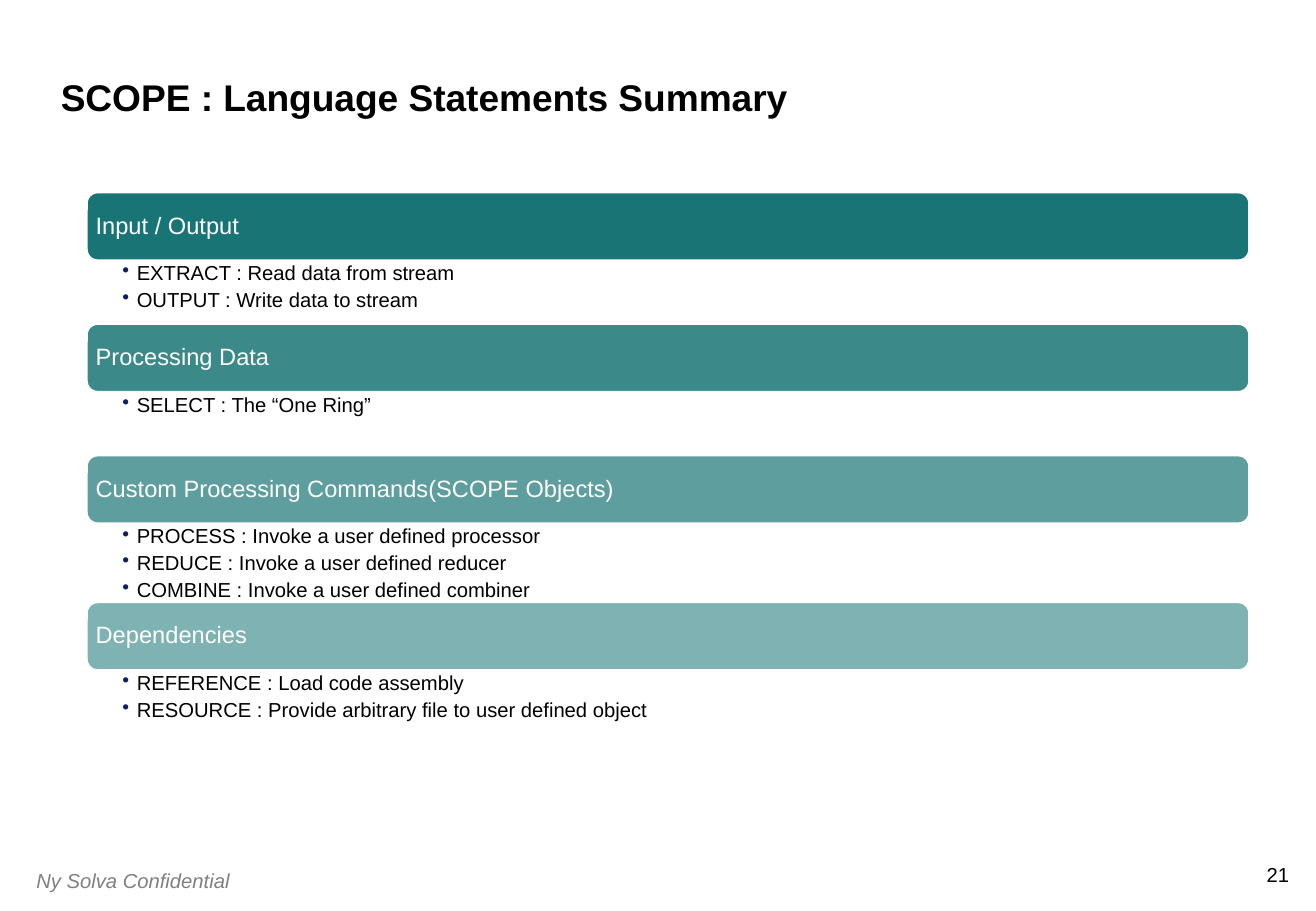
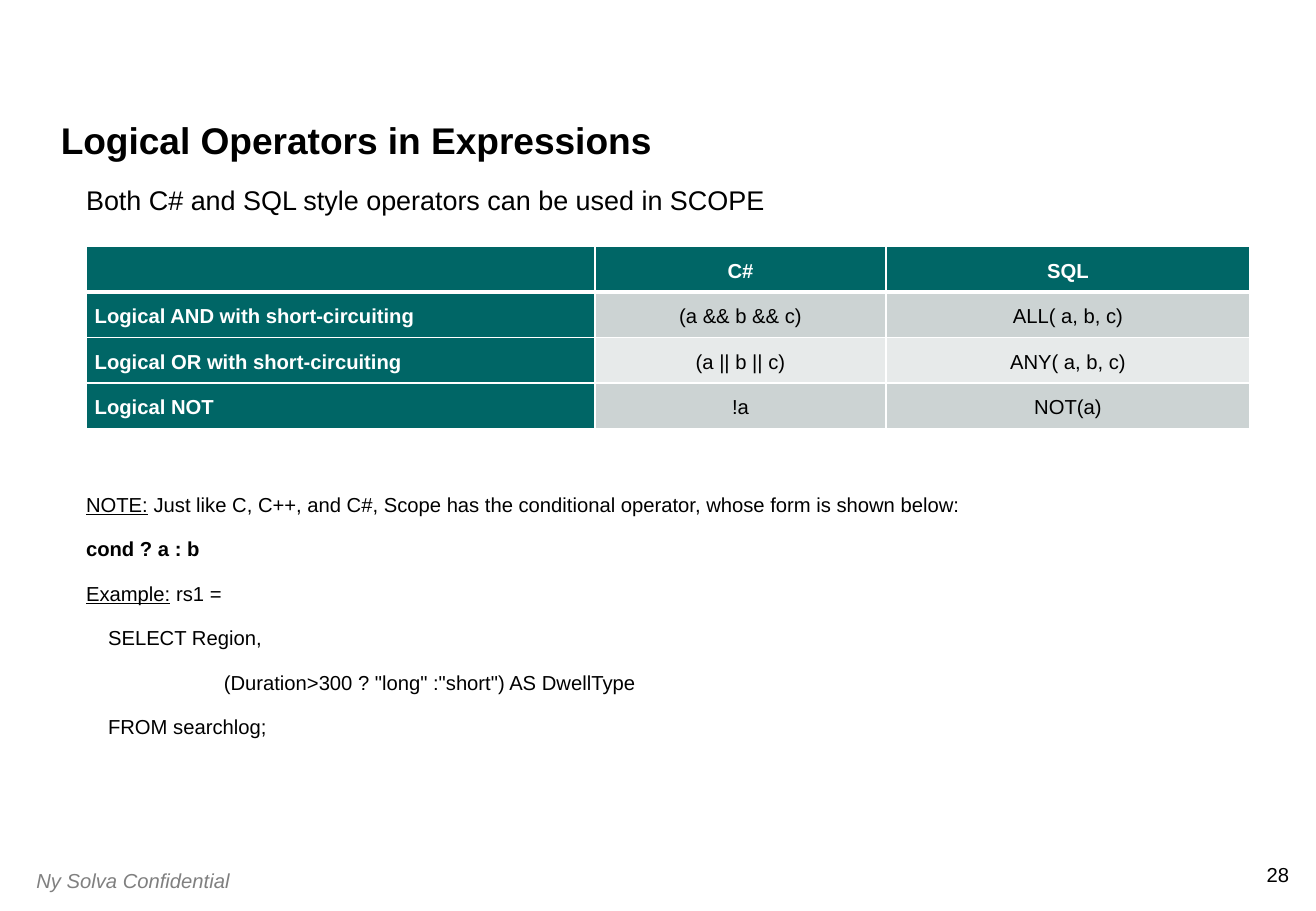
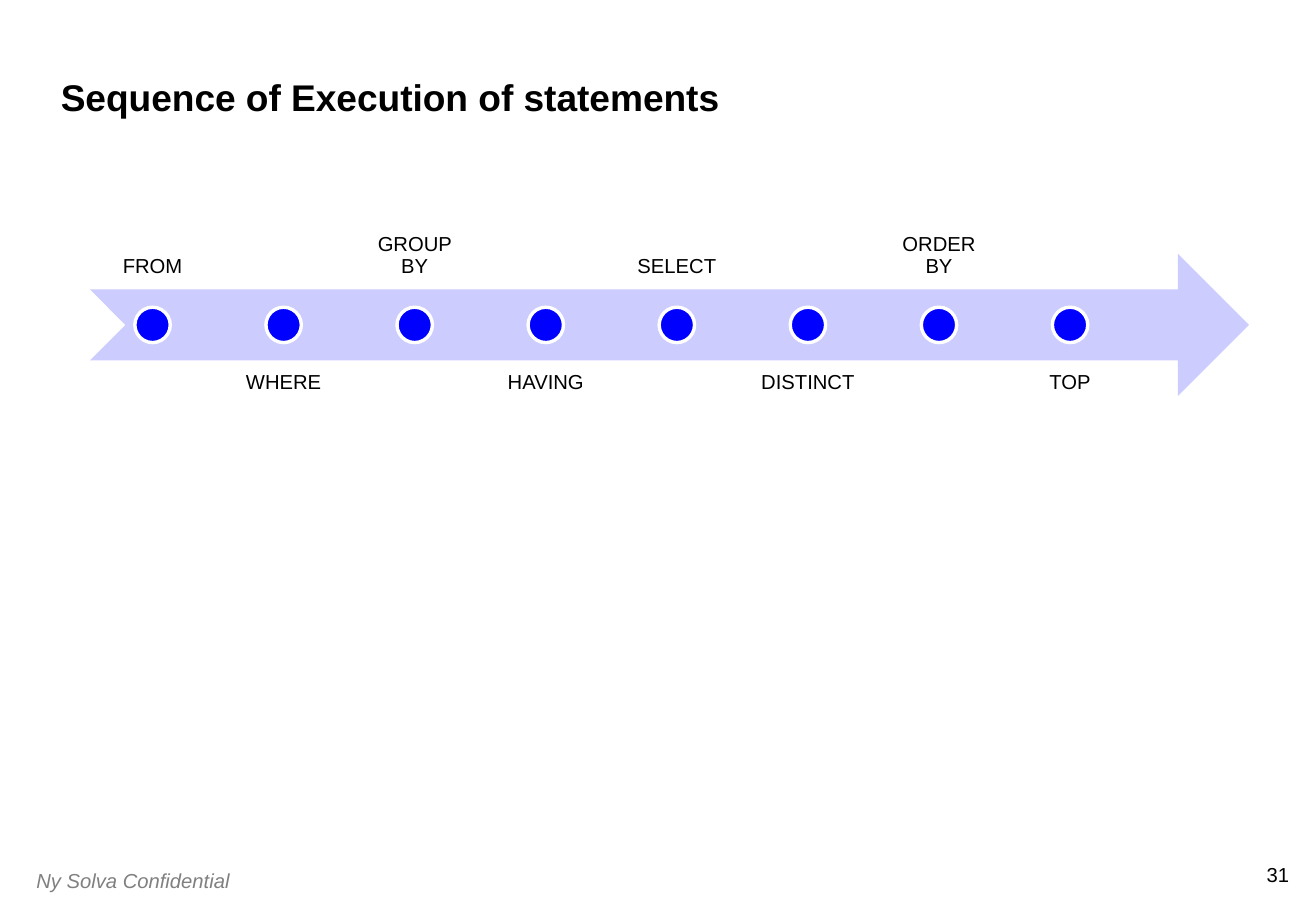
from pptx import Presentation
from pptx.dml.color import RGBColor
from pptx.enum import shapes, text
from pptx.oxml import ns, xmlchemy
from pptx.util import Cm, Pt

# Content
FOOTER = "Ny Solva Confidential"

STATEMENTS = [
    ("Input / Output", 90,
     ["EXTRACT : Read data from stream", "OUTPUT : Write data to stream"]),
    ("Processing Data", 77, ["SELECT : The “One Ring”"]),
    ("Custom Processing Commands(SCOPE Objects)", 63,
     ["PROCESS : Invoke a user defined processor",
      "REDUCE : Invoke a user defined reducer",
      "COMBINE : Invoke a user defined combiner"]),
    ("Dependencies", 50,
     ["REFERENCE : Load code assembly",
      "RESOURCE : Provide arbitrary file to user defined object"]),
]

OPERATORS_INTRO = "Both C# and SQL style operators can be used in SCOPE"
OPERATORS = [
    ("", "C#", "SQL"),
    ("Logical AND with short-circuiting", "(a && b && c)", "ALL( a, b, c)"),
    ("Logical OR with short-circuiting", "(a || b || c)", "ANY( a, b, c)"),
    ("Logical NOT", "!a", "NOT(a)"),
]
# Underlined label, text, left indent in cm, bold
CONDITIONAL = [
    ("NOTE:", " Just like C, C++, and C#, Scope has the conditional operator, "
              "whose form is shown below:", 0, False),
    ("", "cond ? a : b", 0, True),
    ("Example:", " rs1 =", 0, False),
    ("", "SELECT Region,", 0.46, False),
    ("", '(Duration>300 ? "long" :"short") AS DwellType', 2.88, False),
    ("", "FROM searchlog;", 0.46, False),
]

SEQUENCE = ["FROM", "WHERE", "GROUP BY", "HAVING",
            "SELECT", "DISTINCT", "ORDER BY", "TOP"]

# Shared style
FONT = "Arial"
BLACK, WHITE, GREY = "000000", "FFFFFF", "808080"
TEAL, BULLET = "006666", "0B1F65"
ROW_FILLS = ["E7EAEA", "CCD3D3"]
ARROW, DOT = "CCCCFF", "0000FF"
LEFT, WIDTH = 1.8, 24.33
ALIGN, ANCHOR = text.PP_ALIGN, text.MSO_ANCHOR
SHAPE = shapes.MSO_SHAPE


def rgb(value):
    return RGBColor.from_string(value)


def sub(parent, tag, **attrs):
    child = xmlchemy.OxmlElement(tag)
    for name, value in attrs.items():
        child.set(name, str(value))
    parent.append(child)
    return child


def place(sp, x, y, w, h):
    sp.left, sp.top, sp.width, sp.height = Cm(x), Cm(y), Cm(w), Cm(h)


def frame(tf, insets=(0, 0, 0, 0), anchor=ANCHOR.TOP, wrap=True):
    tf.auto_size = text.MSO_AUTO_SIZE.NONE
    tf.word_wrap = wrap
    tf.vertical_anchor = anchor
    (tf.margin_left, tf.margin_top,
     tf.margin_right, tf.margin_bottom) = map(Cm, insets)


def style(p, size=12, color=BLACK, bold=False, italic=False,
          align=ALIGN.LEFT, spacing=None):
    f = p.font
    f.name, f.size, f.bold, f.italic = FONT, Pt(size), bold, italic
    f.color.rgb = rgb(color)
    p.alignment = align
    if spacing:
        p.line_spacing = spacing


def indent(p, left, first=0):
    pPr = p._p.get_or_add_pPr()
    pPr.set("marL", str(Cm(left)))
    pPr.set("indent", str(Cm(first)))
    return pPr


def bullet(p):
    pPr = indent(p, 0.3, -0.3)
    color = xmlchemy.OxmlElement("a:buClr")
    sub(color, "a:srgbClr", val=BULLET)
    char = xmlchemy.OxmlElement("a:buChar")
    char.set("char", "•")
    defaults = pPr.find(ns.qn("a:defRPr"))
    defaults.addprevious(color)
    defaults.addprevious(char)


def paragraphs(tf, count):
    return [tf.paragraphs[0]] + [tf.add_paragraph() for _ in range(count - 1)]


def add_text(slide, box, words, insets=(0, 0, 0, 0), anchor=ANCHOR.TOP, **look):
    tf = slide.shapes.add_textbox(*map(Cm, box)).text_frame
    frame(tf, insets, anchor)
    tf.text = words
    style(tf.paragraphs[0], **look)


def add_shape(slide, kind, box, fill, line=None):
    sp = slide.shapes.add_shape(kind, *map(Cm, box))
    sp.shadow.inherit = False
    sp.fill.solid()
    sp.fill.fore_color.rgb = rgb(fill)
    if line:
        sp.line.color.rgb = rgb(line)
        sp.line.width = Pt(2)
    else:
        sp.line.fill.background()
    return sp


def new_slide(prs, layout, title, number, title_height):
    slide = prs.slides.add_slide(prs.slide_layouts[layout])
    sp = slide.shapes.title
    place(sp, 1.27, 1.07, 24.97, title_height)
    frame(sp.text_frame, anchor=ANCHOR.BOTTOM)
    sp.text_frame.text = title
    style(sp.text_frame.paragraphs[0], size=22, bold=True, spacing=0.9)
    add_text(slide, (0.51, 18.03, 6, 0.76), FOOTER, (0.25, 0.13, 0.25, 0.13),
             color=GREY, italic=True)
    add_text(slide, (25.42, 18.03, 1.53, 0.51), str(number), align=ALIGN.RIGHT)
    return slide


def statements_slide(prs):
    slide = new_slide(prs, 5, "SCOPE : Language Statements Summary", 21, 1.43)
    y, band_height = 4.01, 1.45
    for heading, opacity, items in STATEMENTS:
        # Heading band
        band = add_shape(slide, SHAPE.ROUNDED_RECTANGLE,
                         (LEFT, y, WIDTH, band_height), TEAL, WHITE)
        fill = band._element.spPr.find(
            ns.qn("a:solidFill") + "/" + ns.qn("a:srgbClr"))
        sub(fill, "a:alpha", val=opacity * 1000)
        frame(band.text_frame, (0.13, 0.15, 0.15, 0.15), ANCHOR.MIDDLE)
        band.text_frame.text = heading
        style(band.text_frame.paragraphs[0], size=14, color=WHITE, spacing=0.9)
        y += band_height
        # Bullets under the band
        list_height = max(1.3, 0.54 * len(items))
        box = slide.shapes.add_textbox(
            Cm(LEFT), Cm(y), Cm(WIDTH), Cm(list_height))
        frame(box.text_frame, (0.76, 0.05, 0.23, 0.05))
        for p, item in zip(paragraphs(box.text_frame, len(items)), items):
            p.text = item
            style(p, spacing=0.9)
            p.space_after = Pt(3)
            bullet(p)
        y += list_height


def cell_borders(cell, bottom):
    tcPr = cell._tc.get_or_add_tcPr()
    fill = tcPr.find(ns.qn("a:solidFill"))
    for side, width in (("L", 1), ("R", 1), ("T", 1), ("B", bottom)):
        ln = xmlchemy.OxmlElement("a:ln" + side)
        ln.set("w", str(Pt(width)))
        sub(sub(ln, "a:solidFill"), "a:srgbClr", val=WHITE)
        fill.addprevious(ln)


def operators_slide(prs):
    slide = new_slide(prs, 1, "Logical Operators in Expressions", 28, 2.34)
    # Introduction
    body = slide.placeholders[1]
    place(body, LEFT, 3.84, WIDTH, 1.32)
    frame(body.text_frame)
    p = body.text_frame.paragraphs[0]
    p.text = OPERATORS_INTRO
    style(p, size=16)
    pPr = indent(p, 0)
    pPr.find(ns.qn("a:defRPr")).addprevious(xmlchemy.OxmlElement("a:buNone"))
    # Operator table
    widths, row_height = (10.64, 6.08, 7.61), 0.95
    table = slide.shapes.add_table(
        len(OPERATORS), len(widths), Cm(LEFT), Cm(5.16), Cm(WIDTH),
        Cm(row_height * len(OPERATORS))).table
    table.first_col = True
    for column, width in zip(table.columns, widths):
        column.width = Cm(width)
    for i, values in enumerate(OPERATORS):
        table.rows[i].height = Cm(row_height)
        for j, value in enumerate(values):
            cell = table.cell(i, j)
            header = i == 0 or j == 0
            cell.fill.solid()
            cell.fill.fore_color.rgb = rgb(TEAL if header else ROW_FILLS[i % 2])
            cell_borders(cell, 3 if i == 0 else 1)
            cell.vertical_anchor = ANCHOR.MIDDLE
            cell.margin_left = cell.margin_right = Cm(0.18)
            cell.margin_top = cell.margin_bottom = 0
            cell.text = value
            style(cell.text_frame.paragraphs[0], bold=header,
                  color=WHITE if header else BLACK, spacing=1.15,
                  align=ALIGN.CENTER if j else ALIGN.LEFT)
    # Conditional operator
    tf = slide.shapes.add_textbox(
        Cm(LEFT), Cm(10.29), Cm(WIDTH), Cm(7.34)).text_frame
    frame(tf)
    rows = zip(paragraphs(tf, len(CONDITIONAL)), CONDITIONAL)
    for p, (label, words, left, bold) in rows:
        style(p, bold=bold)
        indent(p, left)
        p.space_before = Pt(12)
        if label:
            r = p.add_run()
            r.text = label
            r.font.underline = True
        p.add_run().text = words


def sequence_slide(prs):
    slide = new_slide(prs, 5, "Sequence of Execution of statements", 31, 1.43)
    top, height = 5.31, 2.97
    middle = top + height / 2
    add_shape(slide, SHAPE.NOTCHED_RIGHT_ARROW,
              (1.88, top, 24.23, height), ARROW)
    # Dots, with labels above and below in turn
    first, pitch, dot, label_width = 3.19, 2.74, 0.74, 2.62
    for i, name in enumerate(SEQUENCE):
        x = first + i * pitch
        above = i % 2 == 0
        add_text(slide, (x - label_width / 2, 3.07 if above else 7.54,
                         label_width, height), name, (0.23,) * 4,
                 ANCHOR.BOTTOM if above else ANCHOR.TOP,
                 align=ALIGN.CENTER, spacing=0.9)
        add_shape(slide, SHAPE.OVAL,
                  (x - dot / 2, middle - dot / 2, dot, dot), DOT, WHITE)


def main():
    prs = Presentation()
    prs.slide_width, prs.slide_height = Cm(27.51), Cm(19.05)
    statements_slide(prs)
    operators_slide(prs)
    sequence_slide(prs)
    prs.save("out.pptx")


if __name__ == "__main__":
    main()
